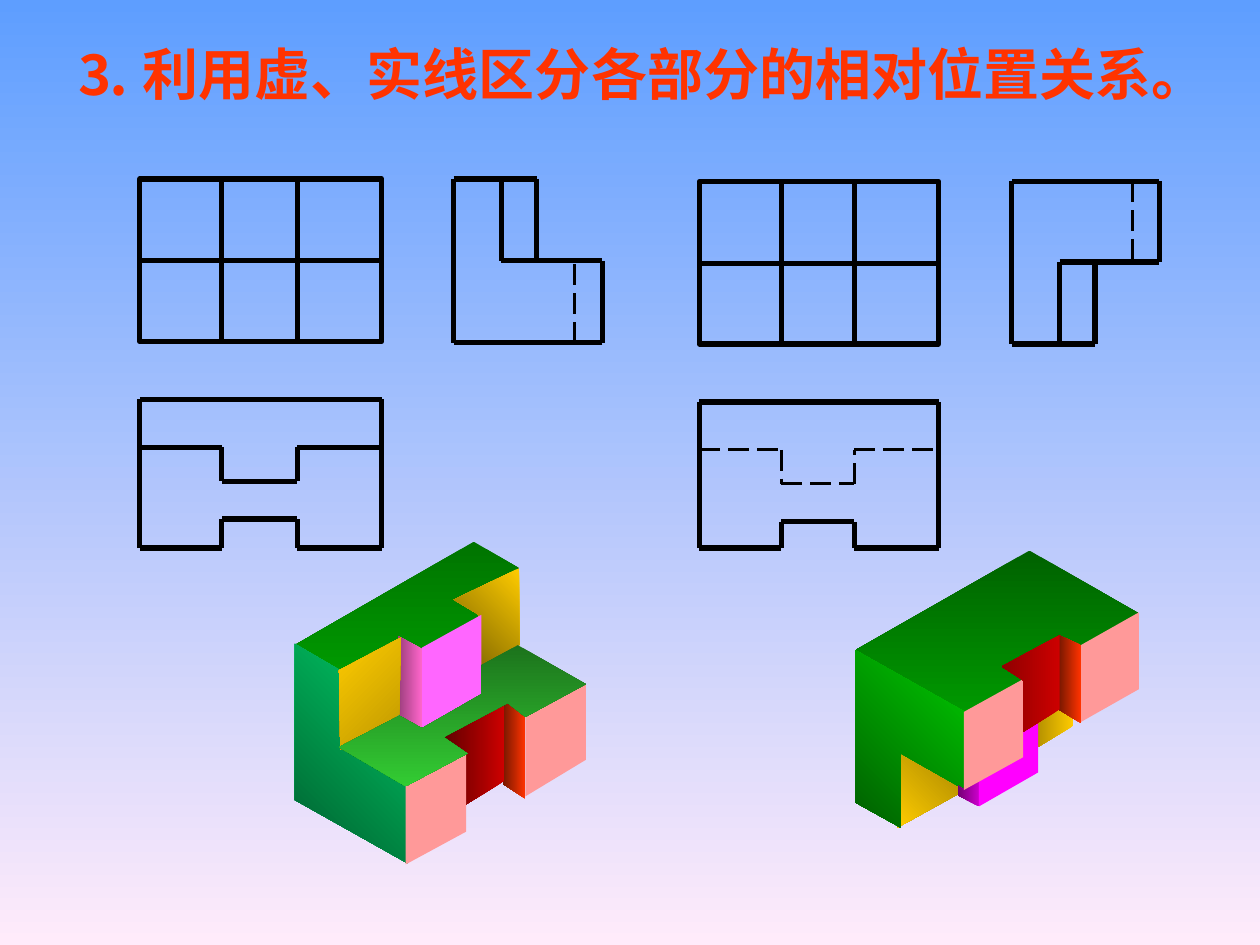
import lxml.etree
import pptx
import pptx.dml.color
import pptx.enum.dml
import pptx.enum.shapes
import pptx.enum.text
import pptx.oxml.ns
import pptx.util

RGB = pptx.dml.color.RGBColor
PX = 9144
WIDE, HIGH = 1000, 750
FONT = "Noto Sans CJK SC"

BLACK = RGB(0x00, 0x00, 0x00)
SKY = RGB(0x5E, 0x9E, 0xFF)
BLUSH = RGB(0xFF, 0xEB, 0xFA)
FLAME = RGB(0xFF, 0x33, 0x00)
RUST = RGB(0x75, 0x17, 0x00)
RED = RGB(0xCC, 0x00, 0x00)
WINE = RGB(0x5E, 0x00, 0x00)
BRICK = RGB(0x8F, 0x00, 0x00)
GREEN = RGB(0x00, 0x99, 0x00)
PINE = RGB(0x00, 0x74, 0x00)
FOREST = RGB(0x00, 0x62, 0x00)
LEAF = RGB(0x00, 0xCC, 0x00)
MOSS = RGB(0x00, 0x5E, 0x00)
JADE = RGB(0x00, 0xCC, 0x66)
TEAL = RGB(0x00, 0x5E, 0x2F)
LIME = RGB(0x33, 0xCC, 0x33)
FERN = RGB(0x1C, 0x73, 0x1C)
ROSE = RGB(0xFF, 0x66, 0xCC)
PLUM = RGB(0x9B, 0x3E, 0x7C)
PINK = RGB(0xFF, 0x66, 0xFF)
SALMON = RGB(0xFF, 0x99, 0x99)
GOLD = RGB(0xFF, 0xCC, 0x00)
BRONZE = RGB(0x75, 0x5E, 0x00)
OCHRE = RGB(0xBD, 0x97, 0x00)
AMBER = RGB(0xB3, 0x8F, 0x00)
BRASS = RGB(0xA9, 0x87, 0x00)
VIOLET = RGB(0xCC, 0x00, 0xCC)
GRAPE = RGB(0x72, 0x00, 0x72)
NEON = RGB(0xFF, 0x00, 0xFF)

STEP_FACES = [
    (FLAME, RUST, 180, [(165, 124), (183, 139), (183, 204), (165, 192)]),
    (RED, WINE, 180, [(117, 155), (166, 129), (166, 190), (135, 209), (135, 167)]),
    (PINE, GREEN, 90, [(0, 82), (35, 103), (83, 76), (101, 87), (150, 58),
                       (132, 48), (178, 21), (142, 0)]),
    (JADE, TEAL, 135, [(0, 81), (0, 205), (89, 255), (89, 194), (36, 163), (36, 102)]),
    (ROSE, PLUM, 180, [(82, 75), (101, 85), (101, 148), (82, 137)]),
    (GOLD, BRONZE, 135, [(178, 21), (178, 82), (148, 99), (146, 58), (126, 46)]),
    (PINK, None, 0, [(101, 84), (101, 148), (148, 121), (148, 58)]),
    (SALMON, None, 0, [(88, 193), (136, 167), (136, 230), (88, 256)]),
    (SALMON, None, 0, [(183, 138), (183, 202), (231, 173), (231, 113)]),
    (OCHRE, GOLD, 225, [(35, 102), (36, 165), (83, 137), (84, 76)]),
    (FERN, LIME, 90, [(35, 163), (83, 138), (101, 148), (148, 121), (148, 98),
                      (177, 82), (231, 113), (183, 139), (169, 128), (118, 155),
                      (137, 168), (88, 194)]),
]
LEDGE_FACES = [
    (GOLD, AMBER, 180, [(143, 135), (163, 124), (173, 130), (173, 139), (143, 157)]),
    (BRASS, GOLD, 135, [(35, 160), (33, 220), (82, 193), (82, 184)]),
    (FOREST, GREEN, 90, [(0, 79), (138, 0), (225, 50), (180, 76), (161, 68),
                         (118, 92), (134, 103), (86, 130)]),
    (LEAF, MOSS, 135, [(0, 79), (0, 200), (36, 220), (36, 161), (87, 190), (87, 128)]),
    (FLAME, RUST, 180, [(161, 67), (179, 75), (179, 137), (161, 126)]),
    (SALMON, None, 0, [(179, 75), (179, 136), (225, 110), (225, 49)]),
    (VIOLET, GRAPE, 180, [(81, 186), (81, 194), (98, 203), (98, 181), (85, 189)]),
    (NEON, None, 0, [(98, 181), (98, 203), (145, 176), (145, 135), (132, 143), (130, 163)]),
    (SALMON, None, 0, [(86, 128), (86, 190), (133, 164), (133, 102)]),
    (RED, BRICK, 180, [(116, 92), (133, 103), (133, 144), (162, 126), (162, 67)]),
]


def shade(fill, first, last, angle):
    fill.gradient()
    fill.gradient_angle = (360 - angle) % 360
    for stop, color, place in zip(fill.gradient_stops, (first, last), (0, 1)):
        stop.color.rgb = color
        stop.position = place


def ink(line, hidden=False):
    line.color.rgb = BLACK
    line.width = pptx.util.Pt(1.5 if hidden else 3)
    if hidden:
        line.dash_style = pptx.enum.dml.MSO_LINE.LONG_DASH


def trace(shapes, left, top, points, hidden=False):
    for (x1, y1), (x2, y2) in zip(points, points[1:]):
        edge = shapes.add_connector(
            pptx.enum.shapes.MSO_CONNECTOR.STRAIGHT,
            (left + x1) * PX, (top + y1) * PX, (left + x2) * PX, (top + y2) * PX)
        ink(edge.line, hidden)
        lxml.etree.SubElement(edge._element.spPr, pptx.oxml.ns.qn("a:effectLst"))


def title(slide, left, top, width, height):
    box = slide.shapes.add_textbox(left * PX, top * PX, width * PX, height * PX)
    frame = box.text_frame
    frame.word_wrap = False
    frame.auto_size = pptx.enum.text.MSO_AUTO_SIZE.SHAPE_TO_FIT_TEXT
    frame.vertical_anchor = pptx.enum.text.MSO_ANCHOR.MIDDLE
    run = frame.paragraphs[0].add_run()
    run.text = "⒊ 利用虚、实线区分各部分的相对位置关系。"
    run.font.size = pptx.util.Pt(32)
    run.font.bold = True
    run.font.name = FONT
    run.font.color.rgb = FLAME
    east = lxml.etree.SubElement(run.font._element, pptx.oxml.ns.qn("a:ea"))
    east.set("typeface", FONT)


def front_view(shapes, left, top, width, height):
    frame = shapes.add_shape(pptx.enum.shapes.MSO_SHAPE.RECTANGLE,
                             left * PX, top * PX, width * PX, height * PX)
    frame.shadow.inherit = False
    frame.fill.background()
    ink(frame.line)
    trace(shapes, left, top, [(0, 65), (width, 65)])
    for x in (65, width - 67):
        trace(shapes, left, top, [(x, 0), (x, height)])


def top_view(shapes, left, top, width, height, hidden):
    near, far = 65, width - 67
    trace(shapes, left, top, [
        (near, height), (0, height), (0, 0), (width, 0), (width, height),
        (far, height), (far, 95), (near, 95), (near, height)])
    trace(shapes, left, top, [
        (0, 38), (near, 38), (near, 65), (far, 65), (far, 38), (width, 38)], hidden)


def side_view(slide, left, top, width, height, flip=False):
    shapes = slide.shapes.add_group_shape().shapes
    mid = 65
    paths = [
        ([(38, mid), (width, mid), (width, height), (0, height), (0, 0),
          (66, 0), (66, mid)], False),
        ([(38, 0), (38, mid)], False),
        ([(96, height), (96, mid)], True),
    ]
    for points, hidden in paths:
        if flip:
            points = [(x, height - y) for x, y in points]
        trace(shapes, left, top, points, hidden)


def main_views(slide, left, top, width, height, hidden):
    shapes = slide.shapes.add_group_shape().shapes
    front_view(shapes, left, top, width, 129)
    top_view(shapes, left, top + 175, width, height - 175, hidden)


def solid(slide, left, top, faces):
    shapes = slide.shapes.add_group_shape().shapes
    for first, last, angle, points in faces:
        spots = [(left + x, top + y) for x, y in points]
        pen = shapes.build_freeform(*spots[0], scale=PX)
        pen.add_line_segments(spots[1:], close=True)
        face = pen.convert_to_shape()
        face.shadow.inherit = False
        face.line.fill.background()
        if last is None:
            face.fill.solid()
            face.fill.fore_color.rgb = first
        else:
            shade(face.fill, first, last, angle)


def main():
    deck = pptx.Presentation()
    deck.slide_width, deck.slide_height = WIDE * PX, HIGH * PX
    slide = deck.slides.add_slide(deck.slide_layouts[6])
    shade(slide.background.fill, SKY, BLUSH, 90)
    title(slide, 49, 26, 920, 64)
    main_views(slide, 111, 142, 192, 293, hidden=False)
    side_view(slide, 360, 142, 118, 130)
    main_views(slide, 555, 144, 190, 291, hidden=True)
    side_view(slide, 803, 144, 117, 129, flip=True)
    solid(slide, 234, 430, STEP_FACES)
    solid(slide, 679, 437, LEDGE_FACES)
    deck.save("out.pptx")


if __name__ == "__main__":
    main()
